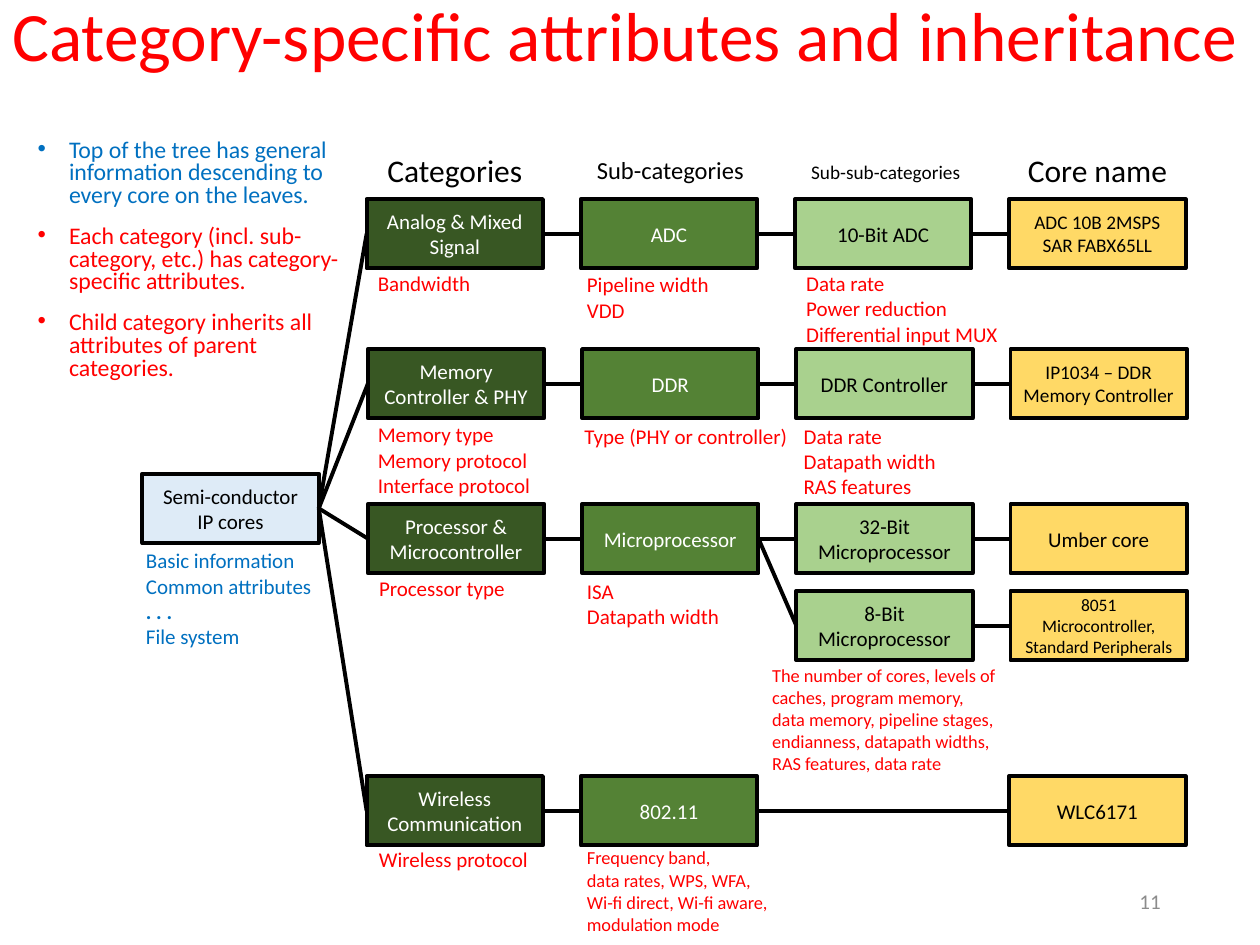
import pptx
import pptx.util
import pptx.dml.color
import pptx.enum.shapes
import pptx.enum.text
import lxml.etree

Inches, Pt = pptx.util.Inches, pptx.util.Pt
ALIGN, ANCHOR = pptx.enum.text.PP_ALIGN, pptx.enum.text.MSO_ANCHOR

RED, BLUE, BLACK, WHITE, GREY = "FF0000", "0070C0", "000000", "FFFFFF", "8C8C8C"
COLUMN_STYLES = [("385723", WHITE), ("548235", WHITE), ("A9D18E", BLACK), ("FFD966", BLACK)]
BOX_W, BOX_H, COL_X, COL_STEP = 1.4, 0.55, 2.92, 1.7

TITLE = "Category-specific attributes and inheritance"
BULLETS = [
    ("Top of the tree has general information descending to every core on the leaves.", BLUE),
    ("Each category (incl. sub-category, etc.) has category-specific attributes.", RED),
    ("Child category inherits all attributes of parent categories.", RED),
]
# text, left, top, width, height, size
HEADINGS = [
    ("Categories", 2.92, 1.15, 1.38, 0.4, 18),
    ("Sub-categories", 4.63, 1.18, 1.38, 0.34, 14),
    ("Sub-sub-categories", 6.33, 1.22, 1.4, 0.29, 11),
    ("Core name", 8, 1.15, 1.42, 0.4, 18),
]
# top, horizontal shift, {column: (text, size)}
ROWS = [
    (1.58, -0.01, {0: ("Analog & Mixed Signal", 12), 1: ("ADC", 12), 2: ("10-Bit ADC", 12),
                   3: ("ADC 10B 2MSPS SAR FABX65LL", 11)}),
    (2.77, 0, {0: ("Memory\nController & PHY", 12), 1: ("DDR", 12), 2: ("DDR Controller", 12),
               3: ("IP1034 – DDR Memory Controller", 11)}),
    (4, 0, {0: ("Processor & Microcontroller", 12), 1: ("Microprocessor", 12),
            2: ("32-Bit Microprocessor", 12), 3: ("Umber core", 12)}),
    (4.69, 0, {2: ("8-Bit\nMicroprocessor", 12),
               3: ("8051 Microcontroller, Standard Peripherals", 10)}),
    (6.16, -0.01, {0: ("Wireless Communication", 12), 1: ("802.11", 12), 3: ("WLC6171", 12)}),
]
# text, left, top, width, height, size, wraps
NOTES = [
    ("Bandwidth", 2.9, 2.1, 1.41, 0.3, 12, True),
    ("Pipeline width\nVDD", 4.56, 2.11, 1.46, 0.5, 12, True),
    ("Data rate\nPower reduction\nDifferential input MUX", 6.3, 2.1, 1.74, 0.71, 12, False),
    ("Memory type\nMemory protocol\nInterface protocol", 2.9, 3.3, 1.42, 0.71, 12, False),
    ("Type (PHY or controller)", 4.54, 3.31, 1.82, 0.3, 12, False),
    ("Data rate\nDatapath width\nRAS features", 6.28, 3.31, 1.26, 0.71, 12, False),
    ("Processor type", 2.91, 4.52, 1.21, 0.3, 12, False),
    ("ISA\nDatapath width", 4.56, 4.54, 1.26, 0.5, 12, False),
    ("The number of cores, levels of caches, program memory, data memory, pipeline stages, "
     "endianness, datapath\u00a0widths, RAS features, data rate", 6.03, 5.22, 1.99, 0.98, 10.5, True),
    ("Wireless protocol", 2.91, 6.67, 1.44, 0.3, 12, True),
    ("Frequency band,\ndata rates, WPS, WFA,\nWi-fi direct, Wi-fi aware,\nmodulation mode",
     4.56, 6.67, 1.67, 0.81, 10.5, False),
]


def rgb(value):
    return pptx.dml.color.RGBColor.from_string(value)


def write(sp, text, size, color, align=ALIGN.LEFT, anchor=ANCHOR.TOP, wrap=True):
    tf = sp.text_frame
    tf.text = text
    tf.word_wrap = wrap
    tf.vertical_anchor = anchor
    for p in tf.paragraphs:
        p.alignment = align
        for r in p.runs:
            r.font.name, r.font.size = "Calibri", Pt(size)
            r.font.color.rgb = rgb(color)
    return tf


def label(text, x, y, w, h, size, color, **layout):
    sp = s.shapes.add_textbox(Inches(x), Inches(y), Inches(w), Inches(h))
    return write(sp, text, size, color, **layout)


def box(text, x, y, size, fill, color):
    sp = s.shapes.add_shape(pptx.enum.shapes.MSO_SHAPE.RECTANGLE,
                            Inches(x), Inches(y), Inches(BOX_W), Inches(BOX_H))
    sp.shadow.inherit = False
    sp.fill.solid()
    sp.fill.fore_color.rgb = rgb(fill)
    sp.line.color.rgb = rgb(BLACK)
    sp.line.width = Pt(2.25)
    write(sp, text, size, color, ALIGN.CENTER, ANCHOR.MIDDLE)
    return sp


def link(parent, child):
    line = s.shapes.add_connector(pptx.enum.shapes.MSO_CONNECTOR.STRAIGHT, 0, 0, 0, 0)
    line.begin_connect(parent, 3)  # right side
    line.end_connect(child, 1)  # left side
    line.line.color.rgb = rgb(BLACK)
    line.line.width = Pt(2.25)
    lxml.etree.SubElement(line._element.spPr, pptx.oxml.ns.qn("a:effectLst"))


prs = pptx.Presentation()
prs.slide_width, prs.slide_height = Inches(10), Inches(7.5)
s = prs.slides.add_slide(prs.slide_layouts[6])

# Title and column headings
tf = label(TITLE, 0, 0, 10, 0.62, 39.6, RED, anchor=ANCHOR.MIDDLE)
tf.paragraphs[0].line_spacing = 0.9
for text, x, y, w, h, size in HEADINGS:
    label(text, x, y, w, h, size, BLACK, align=ALIGN.CENTER)

# Bulleted explanation
tf = label("\n".join(text for text, _ in BULLETS), 0.2, 1.06, 2.66, 2.21, 13.6, RED)
for p, (_, color) in zip(tf.paragraphs, BULLETS):
    p.line_spacing, p.space_before = 0.8, Pt(10)
    p.runs[0].font.color.rgb = rgb(color)
    pPr = p._p.get_or_add_pPr()
    pPr.set("marL", str(Inches(0.25)))
    pPr.set("indent", str(-Inches(0.25)))
    lxml.etree.SubElement(pPr, pptx.oxml.ns.qn("a:buFont")).set("typeface", "Arial")
    lxml.etree.SubElement(pPr, pptx.oxml.ns.qn("a:buChar")).set("char", "•")

# Tree: boxes on a grid, linked along each row
root = box("Semi-conductor IP cores", 1.13, 3.76, 12, "DEEBF7", BLACK)
nodes = {}
for i, (y, dx, cells) in enumerate(ROWS):
    for col, (text, size) in cells.items():
        nodes[i, col] = box(text, COL_X + dx + col * COL_STEP, y, size, *COLUMN_STYLES[col])
    cols = list(cells)
    for left, right in zip(cols, cols[1:]):
        link(nodes[i, left], nodes[i, right])
    if 0 in cells:
        link(root, nodes[i, 0])
link(nodes[2, 1], nodes[3, 2])

# Attributes under the boxes
for text, x, y, w, h, size, wrap in NOTES:
    label(text, x, y, w, h, size, RED, wrap=wrap)
tf = label("Basic information\nCommon attributes\n. . .\nFile system",
           1.06, 4.3, 1.53, 0.91, 12, BLUE, wrap=False)
tf.paragraphs[2].runs[0].font.bold = True

# Slide number
label("11", 7.06, 6.95, 2.25, 0.4, 12, GREY, align=ALIGN.RIGHT, anchor=ANCHOR.MIDDLE)

prs.save("out.pptx")
